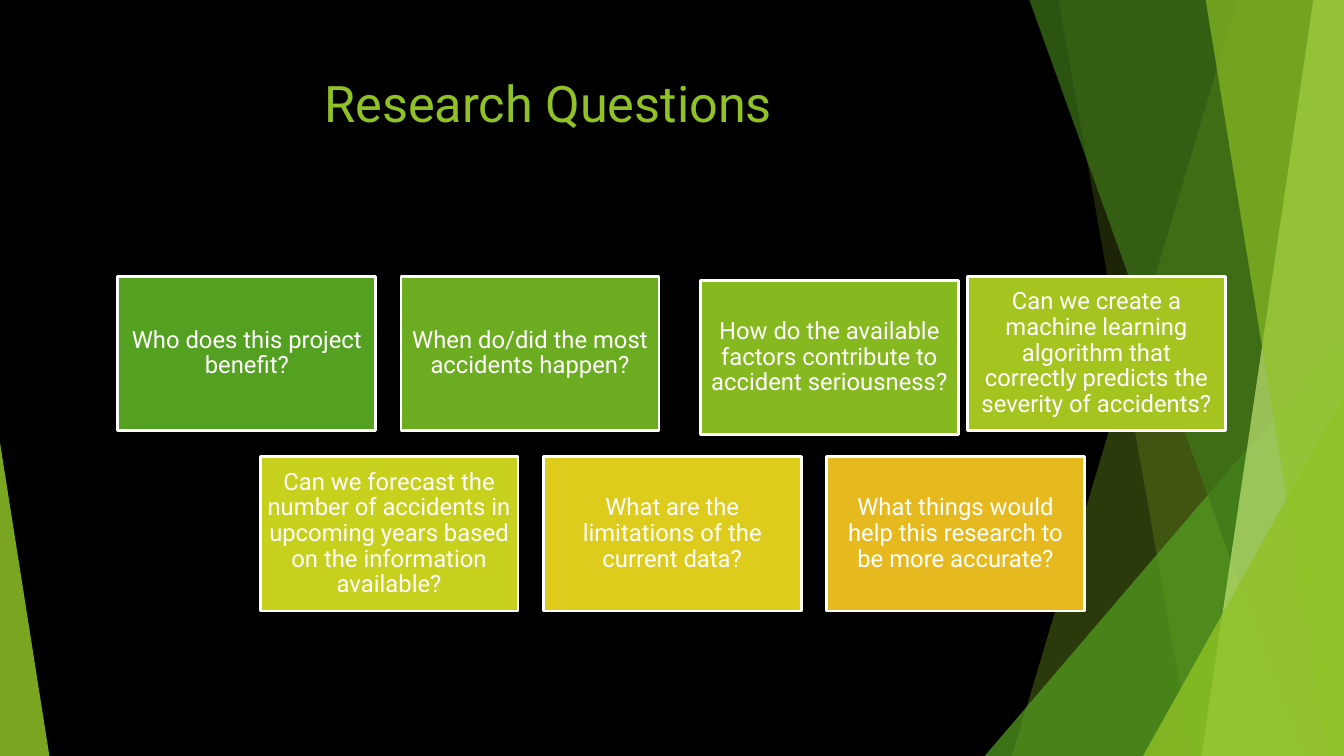
from lxml import etree
from pptx import Presentation
from pptx.dml.color import RGBColor
from pptx.enum import shapes, text
from pptx.oxml import ns
from pptx.util import Pt

FONT = "Roboto"
COLORS = {
    "black": "000000",
    "white": "FFFFFF",
    "lime": "90C226",
    "leaf": "54A021",
    "forest": "3F7819",
    "pale": "C0E474",
    "grass": "6BAC20",
    "moss": "86B820",
    "olive": "A5C41F",
    "citron": "C7D01D",
    "yellow": "DDCC1C",
    "amber": "E6B91E",
}
WIDTH, HEIGHT = 960, 540
TOP = -0.6
BOX_W, BOX_H = 184.3, 110.2
PITCH = 202.3
NUDGES = {(0, 2): (11.5, 2.9)}
ROWS = [
    (84.2, 197.3, [
        ("Who does this project benefit?", "leaf"),
        ("When do/did the most accidents happen?", "grass"),
        ("How do the available factors contribute to accident seriousness?", "moss"),
        ("Can we create a machine learning algorithm that correctly predicts "
         "the severity of accidents?", "olive"),
    ]),
    (185.8, 326.2, [
        ("Can we forecast the number of accidents in upcoming years based on "
         "the information available?", "citron"),
        ("What are the limitations of the current data?", "yellow"),
        ("What things would help this research to be more accurate?", "amber"),
    ]),
]


def rgb(name):
    return RGBColor.from_string(COLORS[name])


def paint(s, color, opacity=100):
    s.shadow.inherit = False
    s.fill.solid()
    s.fill.fore_color.rgb = rgb(color)
    s.line.fill.background()
    if opacity < 100:
        clr = s._element.spPr.find(ns.qn("a:solidFill")).find(ns.qn("a:srgbClr"))
        etree.SubElement(clr, ns.qn("a:alpha")).set("val", str(opacity * 1000))


def add_facet(sp, top_x, bottom_x, color, opacity):
    ff = sp.build_freeform(Pt(top_x), Pt(TOP))
    corners = [(WIDTH, TOP), (WIDTH, HEIGHT), (bottom_x, HEIGHT)]
    ff.add_line_segments([(Pt(x), Pt(y)) for x, y in corners], close=True)
    paint(ff.convert_to_shape(), color, opacity)


def add_triangle(sp, x, y, w, apex, color, opacity):
    s = sp.add_shape(shapes.MSO_SHAPE.ISOSCELES_TRIANGLE,
                     Pt(x), Pt(y), Pt(w), Pt(HEIGHT - y))
    s.adjustments[0] = apex
    paint(s, color, opacity)


def write(tf, words, size, color):
    tf.word_wrap = True
    p = tf.paragraphs[0]
    p.alignment = text.PP_ALIGN.CENTER
    r = p.add_run()
    r.text = words
    r.font.name = FONT
    r.font.size = Pt(size)
    r.font.color.rgb = rgb(color)
    return p


def add_title(sp, words):
    s = sp.add_textbox(Pt(53.3), Pt(48), Pt(676.8), Pt(103.7))
    write(s.text_frame, words, 36, "lime")


def add_question(sp, x, y, words, color):
    s = sp.add_shape(shapes.MSO_SHAPE.RECTANGLE, Pt(x), Pt(y), Pt(BOX_W), Pt(BOX_H))
    paint(s, color)
    s.line.color.rgb = rgb("white")
    s.line.width = Pt(2)
    tf = s.text_frame
    tf.margin_left = tf.margin_right = tf.margin_top = tf.margin_bottom = Pt(5)
    tf.vertical_anchor = text.MSO_ANCHOR.MIDDLE
    write(tf, words, 17, "white").line_spacing = 0.9


def add_backdrop(sp):
    add_facet(sp, 884.2, 722.9, "lime", 30)
    add_facet(sp, 756, 851.8, "lime", 20)
    add_triangle(sp, 703.4, 239.8, 256.6, 1, "leaf", 72)
    add_facet(sp, 735.1, 929.5, "forest", 70)
    add_facet(sp, 938.2, 858.2, "pale", 70)
    add_facet(sp, 861.1, 949, "lime", 65)
    add_triangle(sp, 816.5, 283, 143.5, 1, "lime", 80)
    add_triangle(sp, 0, 316.1, 35.3, 0, "lime", 85)


def main():
    prs = Presentation()
    prs.slide_width, prs.slide_height = Pt(WIDTH), Pt(HEIGHT)
    slide = prs.slides.add_slide(prs.slide_layouts[6])
    slide.background.fill.solid()
    slide.background.fill.fore_color.rgb = rgb("black")
    sp = slide.shapes
    add_backdrop(sp)
    add_title(sp, "Research Questions")
    for row, (left, top, questions) in enumerate(ROWS):
        for col, (words, color) in enumerate(questions):
            dx, dy = NUDGES.get((row, col), (0, 0))
            add_question(sp, left + col * PITCH + dx, top + dy, words, color)
    prs.save("out.pptx")


if __name__ == "__main__":
    main()
